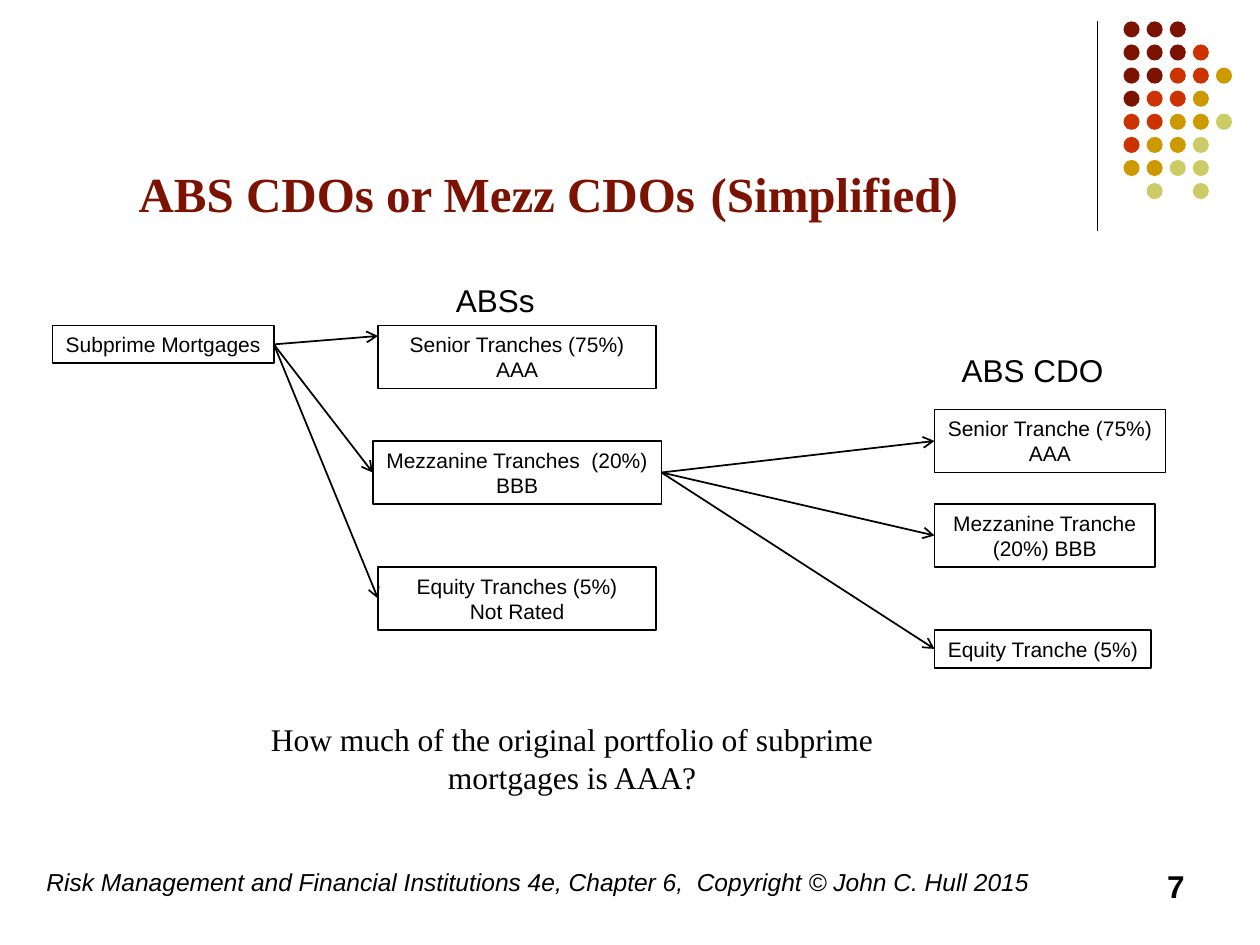
from lxml import etree
from pptx import Presentation
from pptx.dml.color import RGBColor
from pptx.enum.shapes import MSO_CONNECTOR, MSO_SHAPE
from pptx.enum.text import MSO_ANCHOR, MSO_AUTO_SIZE, PP_ALIGN
from pptx.oxml.ns import qn
from pptx.util import Pt

LEFT, CENTER, RIGHT = PP_ALIGN.LEFT, PP_ALIGN.CENTER, PP_ALIGN.RIGHT
STRAIGHT = MSO_CONNECTOR.STRAIGHT
RECT, OVAL = MSO_SHAPE.RECTANGLE, MSO_SHAPE.OVAL
LEFT_SIDE, RIGHT_SIDE = 1, 3

DOT_COLORS = {"D": "7C1302", "R": "CC3300", "O": "CC9900", "L": "CCCC66"}
DOT_ROWS = ["DDD", "DDDR", "DDRRO", "DRRO", "RROOL", "ROOL", "OOLL", " L L"]


def rgb(value):
    return RGBColor.from_string(value)


class SlideBuilder:
    sans = "Arial"
    serif = "Times New Roman"
    ink = "000000"
    paper = "FFFFFF"
    accent = "7C1302"

    def __init__(self, slide):
        self.slide = slide
        self.shapes = slide.shapes

    def format(self, p, size, font=None, color=None, bold=False, italic=False, align=LEFT):
        p.alignment = align
        f = p.font
        f.name = font or self.sans
        f.size = Pt(size)
        f.bold = bold
        f.italic = italic
        f.color.rgb = rgb(color or self.ink)

    def title(self, parts, x, y, w, h):
        sp = self.shapes.title
        sp.left, sp.top, sp.width, sp.height = Pt(x), Pt(y), Pt(w), Pt(h)
        tf = sp.text_frame
        tf.auto_size = MSO_AUTO_SIZE.NONE
        tf.vertical_anchor = MSO_ANCHOR.BOTTOM
        p = tf.paragraphs[0]
        p.line_spacing = Pt(33)
        self.format(p, 28, self.serif, self.accent, bold=True)
        for text, size in parts:
            r = p.add_run()
            r.text = text
            r.font.size = Pt(size)

    def text(self, text, x, y, w, h, size, **style):
        tf = self.shapes.add_textbox(Pt(x), Pt(y), Pt(w), Pt(h)).text_frame
        tf.word_wrap = True
        tf.text = text
        self.format(tf.paragraphs[0], size, **style)

    def box(self, text, x, y, w, h, wrap=False):
        sp = self.shapes.add_shape(RECT, Pt(x), Pt(y), Pt(w), Pt(h))
        sp.shadow.inherit = False
        sp.fill.solid()
        sp.fill.fore_color.rgb = rgb(self.paper)
        sp.line.color.rgb = rgb(self.ink)
        sp.line.width = Pt(1)
        tf = sp.text_frame
        tf.word_wrap = wrap
        tf.text = text
        for p in tf.paragraphs:
            self.format(p, 12, align=CENTER)
        return sp

    def dot(self, x, y, size, color):
        sp = self.shapes.add_shape(OVAL, Pt(x), Pt(y), Pt(size), Pt(size))
        sp.shadow.inherit = False
        sp.fill.solid()
        sp.fill.fore_color.rgb = rgb(color)
        sp.line.fill.background()

    def line(self, x1, y1, x2, y2, width):
        c = self.shapes.add_connector(STRAIGHT, Pt(x1), Pt(y1), Pt(x2), Pt(y2))
        c.line.color.rgb = rgb(self.ink)
        c.line.width = Pt(width)
        etree.SubElement(c._element.spPr, qn("a:effectLst"))
        return c

    def arrow(self, source, target=None, end=(0, 0)):
        c = self.line(0, 0, *end, 1)
        c.begin_connect(source, RIGHT_SIDE)
        if target is not None:
            c.end_connect(target, LEFT_SIDE)
        etree.SubElement(c.line._get_or_add_ln(), qn("a:tailEnd"), type="arrow")


def main():
    prs = Presentation()
    prs.slide_width, prs.slide_height = Pt(720), Pt(540)
    s = SlideBuilder(prs.slides.add_slide(prs.slide_layouts[5]))

    s.line(627, 12, 627, 132, 0.75)
    for row, colors in enumerate(DOT_ROWS):
        for col, key in enumerate(colors):
            if key in DOT_COLORS:
                s.dot(642 + 13.2 * col, 12.2 + 13.2 * row, 9.2, DOT_COLORS[key])

    s.title([("ABS CDOs or Mezz CDOs", 28), (" ", 36), ("(Simplified)", 28)], 72, 54, 558, 78)

    mortgages = s.box("Subprime Mortgages", 30, 186, 126.5, 21.6)
    s.box("Senior Tranches (75%)\nAAA", 216, 186, 159, 36)
    mezzanine = s.box("Mezzanine Tranches  (20%)\nBBB", 213, 252, 165, 36)
    equity = s.box("Equity Tranches (5%)\nNot Rated", 216, 324, 159, 36)
    cdo_tranches = [
        s.box("Senior Tranche (75%)\nAAA", 534, 234, 132, 36),
        s.box("Mezzanine Tranche (20%) BBB", 534, 288, 126, 36, wrap=True),
        s.box("Equity Tranche (5%)", 534, 360, 124, 21.6),
    ]

    s.arrow(mortgages, end=(216, 192))
    for tranche in (mezzanine, equity):
        s.arrow(mortgages, tranche)
    for tranche in cdo_tranches:
        s.arrow(mezzanine, tranche)

    s.text("How much of the original portfolio of subprime mortgages is AAA?",
           120, 408, 414, 50.4, 18, font=s.serif, align=CENTER)
    s.text("7", 516, 492, 168, 36, 18, bold=True, align=RIGHT)
    s.text("Risk Management and Financial Institutions 4e, Chapter 6,  Copyright © John C. Hull 2015",
           19.5, 492, 595.5, 36, 14, italic=True)
    s.text("ABSs", 253.5, 157, 72, 29, 18)
    s.text("ABS CDO", 542.5, 197, 108, 29, 18)

    prs.save("out.pptx")


if __name__ == "__main__":
    main()
